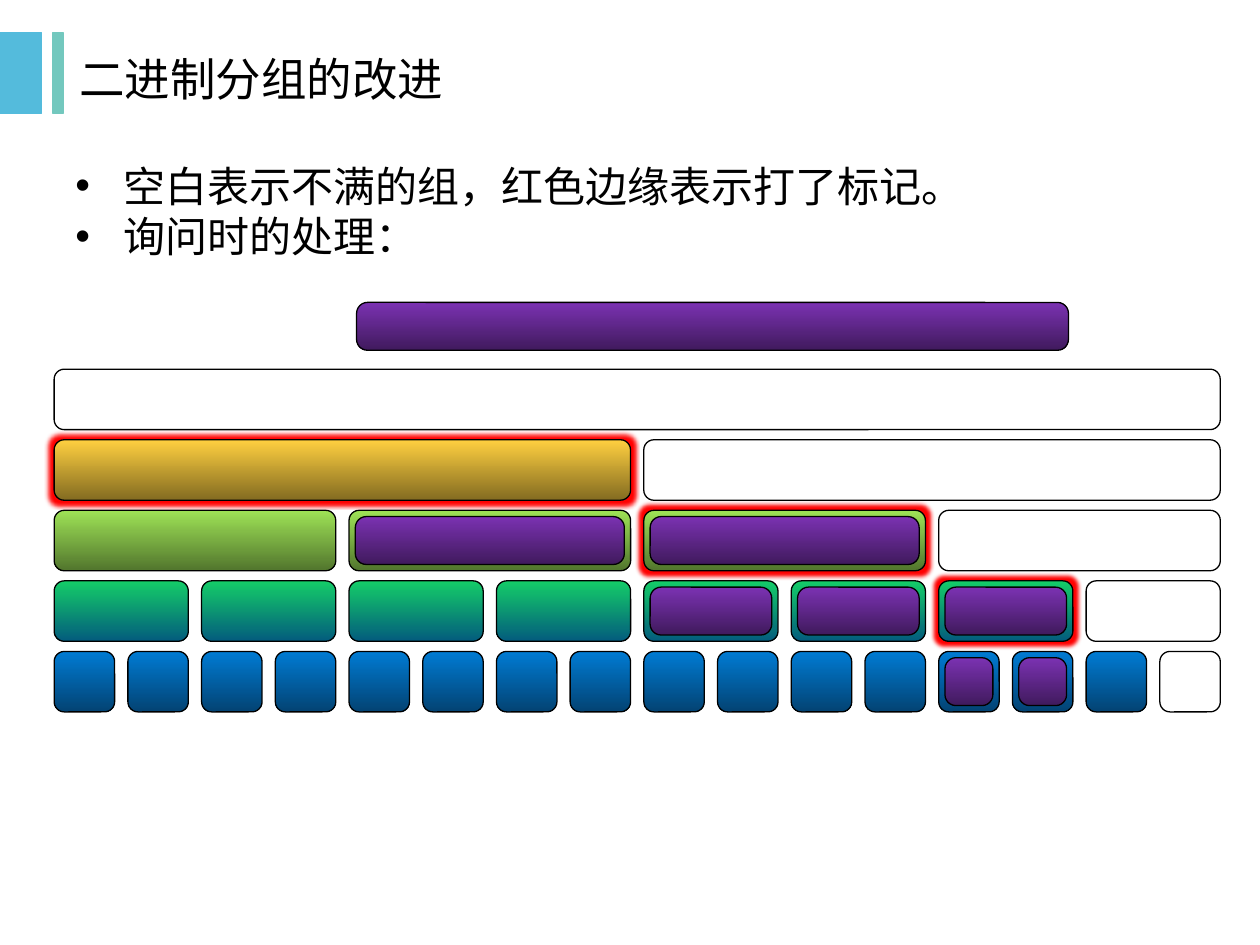
from dataclasses import dataclass

from lxml import etree
from pptx import Presentation
from pptx.dml.color import RGBColor
from pptx.enum.shapes import MSO_SHAPE
from pptx.enum.text import MSO_ANCHOR, PP_ALIGN
from pptx.oxml.ns import qn
from pptx.util import Inches, Pt

RECTANGLE = MSO_SHAPE.RECTANGLE
ROUNDED = MSO_SHAPE.ROUNDED_RECTANGLE
LEFT = PP_ALIGN.LEFT
TOP, MIDDLE = MSO_ANCHOR.TOP, MSO_ANCHOR.MIDDLE

FONT = "Noto Sans CJK SC"
BLACK = RGBColor(0x00, 0x00, 0x00)
WHITE = RGBColor(0xFF, 0xFF, 0xFF)
SKY = RGBColor(0x54, 0xBB, 0xDC)
TEAL = RGBColor(0x73, 0xC8, 0xBE)
BLUES = (RGBColor(0x00, 0x7B, 0xD3), RGBColor(0x03, 0x43, 0x73))
GREENS = (RGBColor(0x14, 0xCD, 0x68), RGBColor(0x03, 0x5C, 0x7D))
LIMES = (RGBColor(0x9E, 0xE2, 0x56), RGBColor(0x52, 0x76, 0x2D))
GOLDS = (RGBColor(0xFE, 0xCF, 0x40), RGBColor(0x84, 0x6C, 0x21))
PURPLES = (RGBColor(0x7B, 0x32, 0xB2), RGBColor(0x40, 0x1A, 0x5D))
GLOW = RGBColor(0xFF, 0x00, 0x00)

LEAVES = 16
GRID_LEFT, LEAF_TOP = 0.43, 5.17
CELL, GAP = 0.48, 0.105
ROW_PITCH = 0.56
INSET = 0.05


@dataclass
class Level:
    """One row of groups; each group covers `span` leaves."""
    span: int
    colors: tuple
    full: int
    marked: tuple = ()
    queried: tuple = ()


LEVELS = [
    Level(1, BLUES, 15, queried=(12, 13)),
    Level(2, GREENS, 7, marked=(6,), queried=(4, 5, 6)),
    Level(4, LIMES, 3, marked=(2,), queried=(1, 2)),
    Level(8, GOLDS, 1, marked=(0,)),
    Level(16, (), 0),
]


def write_text(frame, lines, *, size, anchor, bulleted=False, line_spacing=None, space_before=0):
    frame.word_wrap = True
    frame.vertical_anchor = anchor
    for index, line in enumerate(lines):
        paragraph = frame.paragraphs[0] if index == 0 else frame.add_paragraph()
        paragraph.alignment = LEFT
        paragraph.space_before = Pt(space_before)
        paragraph.line_spacing = line_spacing
        run = paragraph.add_run()
        run.text = line
        run.font.size = Pt(size)
        run.font.name = FONT
        run.font.color.rgb = BLACK
        east_asian = etree.SubElement(run.font._element, qn("a:ea"))
        east_asian.set("typeface", FONT)
        if bulleted:
            add_bullet(paragraph)


def add_bullet(paragraph):
    properties = paragraph._p.get_or_add_pPr()
    properties.set("marL", str(Inches(0.38)))
    properties.set("indent", str(-Inches(0.38)))
    etree.SubElement(properties, qn("a:buFont")).set("typeface", "Arial")
    etree.SubElement(properties, qn("a:buChar")).set("char", "•")


def add_box(slide, kind, left, top, width, height, colors, line_color=BLACK):
    """Fill with one colour, or with a downward gradient when two are given."""
    shape = slide.shapes.add_shape(kind, Inches(left), Inches(top), Inches(width), Inches(height))
    shape.shadow.inherit = False
    if len(colors) == 1:
        shape.fill.solid()
        shape.fill.fore_color.rgb = colors[0]
    else:
        shape.fill.gradient()
        shape.fill.gradient_angle = 270
        for stop, color in zip(shape.fill.gradient_stops, colors):
            stop.color.rgb = color
    shape.line.color.rgb = line_color
    shape.line.width = Pt(0.75)
    return shape


def add_glow(shape):
    effects = shape._element.spPr.find(qn("a:effectLst"))
    glow = etree.SubElement(effects, qn("a:glow"), rad=str(Pt(5)))
    etree.SubElement(glow, qn("a:srgbClr"), val=str(GLOW))


def add_query(slide, left, top, width, height):
    shape = add_box(slide, ROUNDED, left, top, width, height, PURPLES)
    shape.adjustments[0] = 0.229


def group_position(row, span, index):
    """Return left, top and width of a group."""
    pitch = CELL + GAP
    return GRID_LEFT + index * span * pitch, LEAF_TOP - row * ROW_PITCH, span * pitch - GAP


def add_groups(slide):
    for row, level in enumerate(LEVELS):
        for index in range(LEAVES // level.span):
            left, top, width = group_position(row, level.span, index)
            colors = level.colors if index < level.full else (WHITE,)
            group = add_box(slide, ROUNDED, left, top, width, CELL, colors)
            if index in level.marked:
                add_glow(group)


def add_queries(slide):
    add_query(slide, 2.83, 2.4, 5.65, 0.38)
    for row, level in enumerate(LEVELS):
        for index in level.queried:
            left, top, width = group_position(row, level.span, index)
            add_query(slide, left + INSET, top + INSET, width - 2 * INSET, CELL - 2 * INSET)


def add_title(slide, text):
    title = slide.shapes.title
    title.left, title.top = Inches(0.53), Inches(0.26)
    title.width, title.height = Inches(8.97), Inches(0.73)
    write_text(title.text_frame, [text], size=26, anchor=MIDDLE)


def add_bullets(slide, lines):
    box = slide.shapes.add_textbox(Inches(0.5), Inches(1.29), Inches(9), Inches(5.41))
    write_text(box.text_frame, lines, size=24, anchor=TOP, bulleted=True,
               line_spacing=0.83, space_before=4.8)


def main():
    presentation = Presentation()
    presentation.slide_width, presentation.slide_height = Inches(10), Inches(7.5)
    slide = presentation.slides.add_slide(presentation.slide_layouts[5])
    add_box(slide, RECTANGLE, 0, 0.26, 0.33, 0.64, (SKY,), SKY)
    add_box(slide, RECTANGLE, 0.42, 0.26, 0.08, 0.64, (TEAL,), TEAL)
    add_title(slide, "二进制分组的改进")
    add_groups(slide)
    add_bullets(slide, ["空白表示不满的组，红色边缘表示打了标记。", "询问时的处理："])
    add_queries(slide)
    presentation.save("out.pptx")


if __name__ == "__main__":
    main()
